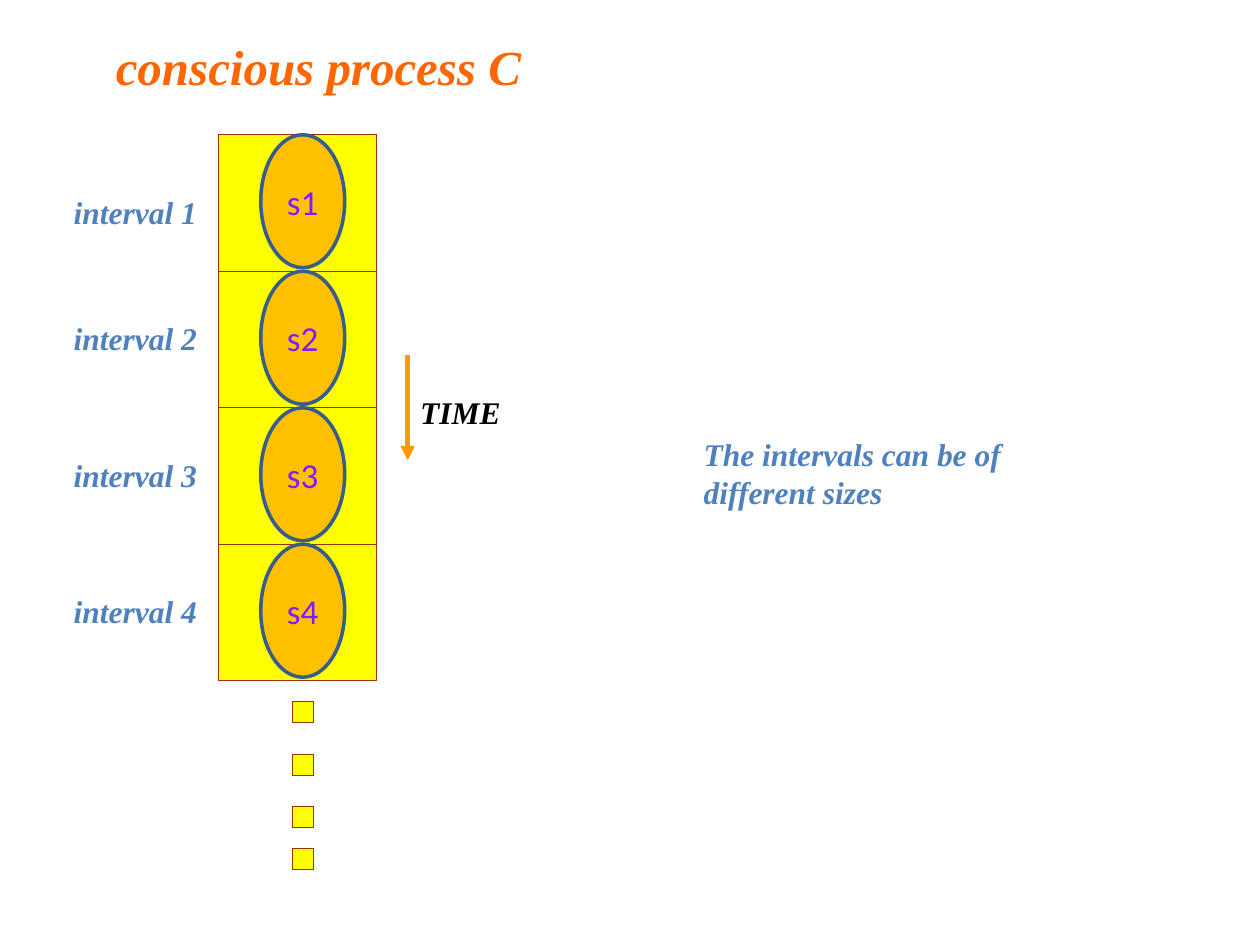
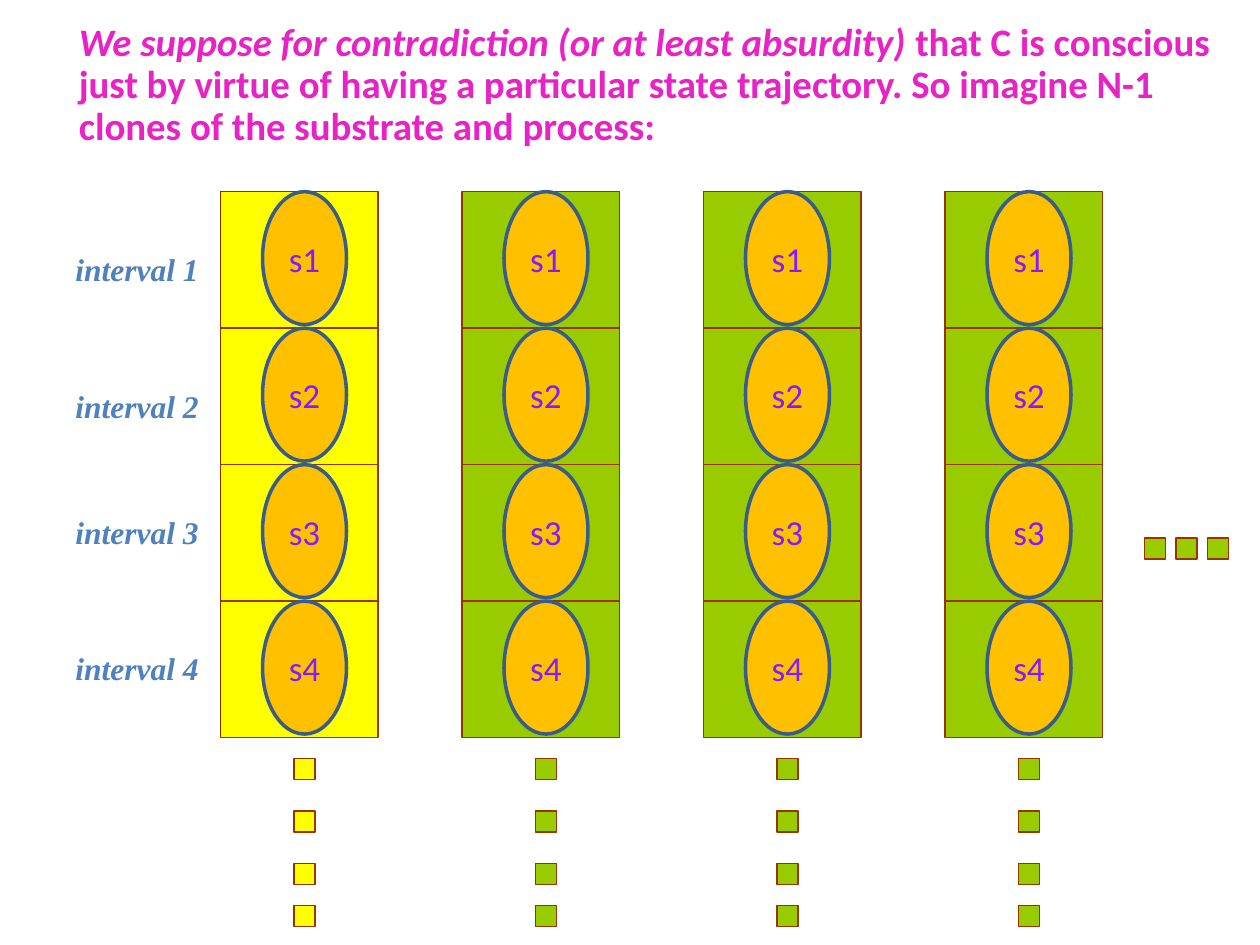
from pptx import Presentation
from pptx.dml.color import RGBColor
from pptx.enum.shapes import MSO_CONNECTOR, MSO_SHAPE
from pptx.enum.text import MSO_ANCHOR, MSO_AUTO_SIZE, PP_ALIGN
from pptx.oxml.ns import qn
from pptx.util import Pt
from lxml.etree import SubElement

YELLOW, GREEN, AMBER = "FFFF00", "99CC00", "FFC000"
BROWN, NAVY, ORANGE = "993300", "385D8A", "FF9900"
RED, BLUE, PURPLE, PINK, BLACK = "FF6600", "4F81BD", "821BFF", "E723C6", "000000"
SERIF, SANS = "Times New Roman", "Calibri"
CELL_W, CELL_H, PITCH = 90, 78, 138
OVAL_W, OVAL_H, DOT = 48, 76, 12
COUNT = 4
DOT_TOPS = (324, 354, 384, 408)


def paint(tone):
    """Turn a hex string into a colour."""
    return RGBColor.from_string(tone)


def add_run(para, text, size, tone, face, bold=True, slant=True):
    """Add one styled run to a paragraph."""
    run = para.add_run()
    run.text = text
    font = run.font
    font.name, font.size, font.bold, font.italic = face, Pt(size), bold, slant
    font.color.rgb = paint(tone)


def add_shape(slide, kind, left, top, width, height, fill, edge, thick):
    """Add a filled and outlined shape without shadow."""
    shape = slide.shapes.add_shape(kind, Pt(left), Pt(top), Pt(width), Pt(height))
    shape.shadow.inherit = False
    shape.fill.solid()
    shape.fill.fore_color.rgb = paint(fill)
    shape.line.color.rgb = paint(edge)
    shape.line.width = Pt(thick)
    return shape


def add_box(slide, left, top, width, height, fill):
    """Add a thin-edged square or cell."""
    add_shape(slide, MSO_SHAPE.RECTANGLE, left, top, width, height, fill, BROWN, 0.74)


def add_state(slide, left, top, text):
    """Add an oval that names a state."""
    oval = add_shape(slide, MSO_SHAPE.OVAL, left, top, OVAL_W, OVAL_H, AMBER, NAVY, 2)
    oval.text_frame.vertical_anchor = MSO_ANCHOR.MIDDLE
    para = oval.text_frame.paragraphs[0]
    para.alignment = PP_ALIGN.CENTER
    add_run(para, text, 20, PURPLE, SANS, False, False)


def add_column(slide, left, top, fill):
    """Add a column of states with trailing dots."""
    for row in range(COUNT):
        y = top + row * CELL_H
        add_box(slide, left, y, CELL_W, CELL_H, fill)
        add_state(slide, left + 24, y, f"s{row + 1}")
    for drop in DOT_TOPS:
        add_box(slide, left + 42, top + drop, DOT, DOT, fill)


def add_text(slide, left, top, width, height, text, tone=BLUE):
    """Add a bold italic serif note."""
    box = slide.shapes.add_textbox(Pt(left), Pt(top), Pt(width), Pt(height))
    frame = box.text_frame
    frame.word_wrap = True
    frame.auto_size = MSO_AUTO_SIZE.SHAPE_TO_FIT_TEXT
    para = frame.paragraphs[0]
    para.space_before = Pt(11.2)
    add_run(para, text, 18, tone, SERIF)


def add_labels(slide, left, top, drops):
    """Label the intervals beside a column."""
    for num, drop in enumerate(drops, 1):
        add_text(slide, left - CELL_W, top + drop, CELL_W, 29, f"interval {num}")


def add_arrow(slide, x, top, end):
    """Add a downward arrow."""
    line = slide.shapes.add_connector(MSO_CONNECTOR.STRAIGHT, Pt(x), Pt(top), Pt(x), Pt(end))
    line.line.color.rgb = paint(ORANGE)
    line.line.width = Pt(2.75)
    SubElement(line.line._get_or_add_ln(), qn("a:tailEnd"), type="triangle")
    SubElement(line._element.spPr, qn("a:effectLst"))


def set_title(slide, left, top, width, height, space):
    """Place the title and return its paragraph."""
    title = slide.shapes.title
    title.left, title.top = Pt(left), Pt(top)
    title.width, title.height = Pt(width), Pt(height)
    frame = title.text_frame
    frame.word_wrap = True
    frame.auto_size = MSO_AUTO_SIZE.NONE
    frame.vertical_anchor = MSO_ANCHOR.TOP
    para = frame.paragraphs[0]
    para.alignment = PP_ALIGN.LEFT
    para.space_before = Pt(space)
    return para


def build_first(slide):
    """Show the single process and its intervals."""
    left, top = 125, 77
    para = set_title(slide, 59, 17.3, 246, 41, 17.5)
    add_run(para, "conscious process C", 28, RED, SERIF)
    add_column(slide, left, top, YELLOW)
    add_labels(slide, left, top, (30, 102, 180, 258))
    add_arrow(slide, 233, 203, 263)
    add_text(slide, 233, 221, 72, 29, "TIME", BLACK)
    add_text(slide, 395, 245, 204, 50, "The intervals can be of different sizes")


def build_second(slide):
    """Show the process beside its clones."""
    left, top = 126, 109.5
    para = set_title(slide, 10.8, 9.4, 690, 89, 20)
    para.line_spacing = 0.9
    para._p.get_or_add_pPr().set("marL", str(Pt(27)))
    add_run(para, "We suppose for contradiction (or at least absurdity)", 22.2, PINK, SANS)
    add_run(para, " that C is conscious just by virtue of having a particular state "
            "trajectory. So imagine N-1 clones of the substrate and process:",
            22.2, PINK, SANS, slant=False)
    for num, fill in enumerate((YELLOW, GREEN, GREEN, GREEN)):
        add_column(slide, left + num * PITCH, top, fill)
    add_labels(slide, left, top, (30, 108, 180, 258))
    for num in range(3):
        add_box(slide, 654 + num * 18, 307.5, DOT, DOT, GREEN)


def main():
    """Build and save the deck."""
    deck = Presentation()
    deck.slide_width, deck.slide_height = Pt(720), Pt(540)
    for build in (build_first, build_second):
        build(deck.slides.add_slide(deck.slide_layouts[5]))
    deck.save("out.pptx")


main()
